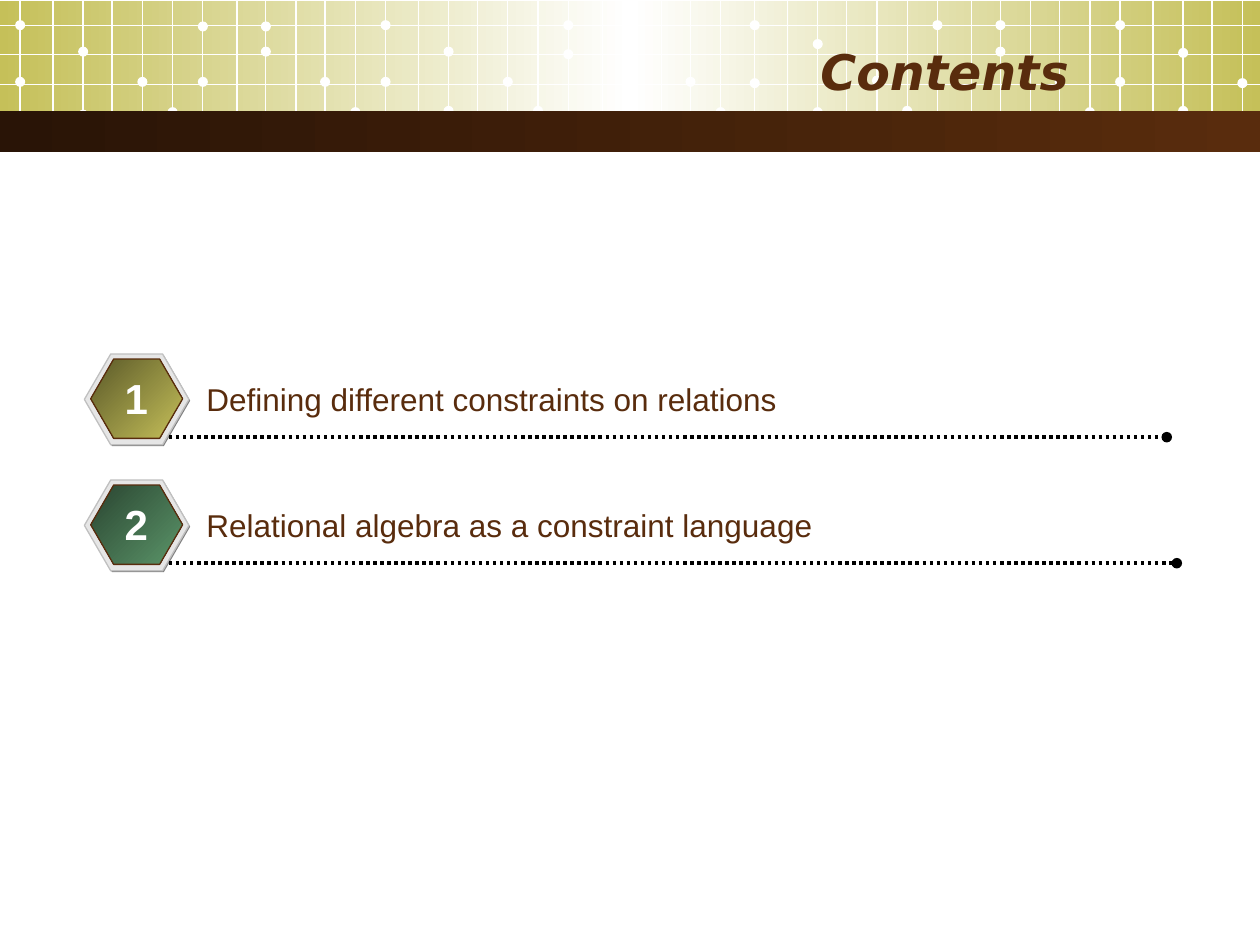
from copy import deepcopy

from pptx import Presentation
from pptx import util as u
from pptx.dml.color import RGBColor
from pptx.enum import dml, shapes, text
from pptx.oxml import ns, xmlchemy

BROWN = "592C0D"
OLIVE = "C5C059"
WHITE = "FFFFFF"

TILE_STARTS = (0.16, 3.06, 5.99, 8.89)
COLUMN_OFFSETS = (0, 0.26, 0.5, 0.73, 0.97, 1.21, 1.45, 1.72, 1.95, 2.19, 2.42, 2.66)
ROW_HEIGHTS = (0.2, 0.43, 0.67, 0.89)
DOT_COLUMNS = (0, 0, 2, 2, 4, 5, 6, 6, 8, 8, 10, 11)
DOT_HEIGHTS = (
    (0.65, 0.2, 0.41, 0.91, 0.65, 0.89, 0.65, 0.21, 0.41, 0.21, 0.65, 0.89),
    (0.65, 0.2, 0.41, 0.88, 0.65, 0.88, 0.43, 0.2, 0.42, 0.2, 0.65, 0.89),
    (0.66, 0.2, 0.35, 0.89, 0.64, 0.88, 0.51, 0.2, 0.41, 0.2, 0.65, 0.89),
    (0.65, 0.2, 0.42, 0.88, 0.66),
)
DOT_SIZE = 0.08

ITEMS = (
    ("Defining different constraints on relations", "5B5929", OLIVE, 9.26),
    ("Relational algebra as a constraint language", "2A4531", "5B9569", 9.34),
)


def color(value):
    return RGBColor.from_string(value)


class SlideBuilder:
    def __init__(self, slide, font="Arial", text_color=BROWN):
        self.slide = slide
        self.font = font
        self.text_color = text_color

    def shape(self, kind, left, top, width, height, fills, angle=0, outline=None):
        shape = self.slide.shapes.add_shape(
            kind, u.Inches(left), u.Inches(top), u.Inches(width), u.Inches(height)
        )
        shape.shadow.inherit = False
        if len(fills) == 1:
            shape.fill.solid()
            shape.fill.fore_color.rgb = color(fills[0])
        else:
            self.gradient(shape, fills, angle)
        if outline:
            shape.line.color.rgb = color(outline)
            shape.line.width = u.Pt(0.75)
        else:
            shape.line.fill.background()
        return shape

    def gradient(self, shape, fills, angle):
        shape.fill.gradient()
        shape.fill.gradient_angle = angle
        stop_list = shape.element.spPr.find(".//" + ns.qn("a:gsLst"))
        for _ in fills[2:]:
            stop_list.append(deepcopy(stop_list[-1]))
        for index, (stop, fill) in enumerate(zip(shape.fill.gradient_stops, fills)):
            stop.color.rgb = color(fill)
            stop.position = index / (len(fills) - 1)

    def hexagon(self, left, top, width, height, fills, outline=None):
        shape = self.shape(
            shapes.MSO_SHAPE.HEXAGON, left, top, width, height, fills, 315, outline
        )
        shape.adjustments[0] = 0.29

    def dot(self, x, y):
        self.shape(
            shapes.MSO_SHAPE.OVAL, x - DOT_SIZE / 2, y - DOT_SIZE / 2,
            DOT_SIZE, DOT_SIZE, [WHITE],
        )

    def line(self, start, end, line_color=WHITE, width=0.75, dotted=False):
        connector = self.slide.shapes.add_connector(
            shapes.MSO_CONNECTOR.STRAIGHT, *map(u.Inches, (*start, *end))
        )
        connector.line.color.rgb = color(line_color)
        connector.line.width = u.Pt(width)
        if dotted:
            connector.line.dash_style = dml.MSO_LINE.ROUND_DOT
            tail = xmlchemy.OxmlElement("a:tailEnd")
            tail.set("type", "oval")
            connector.line._get_or_add_ln().append(tail)
        connector.element.spPr.append(xmlchemy.OxmlElement("a:effectLst"))

    def text(self, words, left, top, width, height, size, align="LEFT",
             font=None, text_color=None, bold=False, italic=False, wrap=True):
        box = self.slide.shapes.add_textbox(
            u.Inches(left), u.Inches(top), u.Inches(width), u.Inches(height)
        )
        frame = box.text_frame
        frame.word_wrap = wrap
        frame.vertical_anchor = text.MSO_ANCHOR.MIDDLE
        paragraph = frame.paragraphs[0]
        paragraph.text = words
        paragraph.alignment = text.PP_ALIGN[align]
        paragraph.font.name = font or self.font
        paragraph.font.size = u.Pt(size)
        paragraph.font.bold = bold
        paragraph.font.italic = italic
        paragraph.font.color.rgb = color(text_color or self.text_color)

    def header(self):
        rectangle = shapes.MSO_SHAPE.RECTANGLE
        self.shape(rectangle, 0, 0.01, 10, 1.02, [OLIVE, WHITE, OLIVE])
        for start, heights in zip(TILE_STARTS, DOT_HEIGHTS):
            for offset in COLUMN_OFFSETS:
                if start + offset < 10:
                    self.line((start + offset, 0), (start + offset, 1.1))
            for column, height in zip(DOT_COLUMNS, heights):
                self.dot(start + COLUMN_OFFSETS[column], height)
        for height in ROW_HEIGHTS:
            self.line((0, height), (10, height))
        self.shape(rectangle, 0, 0.88, 10, 0.33, ["291406", BROWN])
        self.text("Contents", 0.5, 0.25, 8.08, 0.62, 28, "RIGHT",
                  font="DejaVu Sans", bold=True, italic=True)

    def item(self, number, words, dark, light, line_end):
        top = 1.81 + number
        self.hexagon(0.68, top + 0.01, 0.83, 0.72, ["808080"])
        self.hexagon(0.67, top, 0.83, 0.72, ["E6E6E6"], "C0C0C0")
        self.hexagon(0.72, top + 0.04, 0.73, 0.63, [dark, light], BROWN)
        self.line((1.34, top + 0.66), (line_end, top + 0.66), "000000", 2, True)
        self.text(words, 1.54, top + 0.16, 7.7, 0.4, 18)
        self.text(str(number), 0.89, top + 0.1, 0.38, 0.5, 24, "CENTER",
                  text_color=WHITE, bold=True, wrap=False)


def main():
    presentation = Presentation()
    presentation.slide_width = u.Inches(10)
    presentation.slide_height = u.Inches(7.5)
    slide = presentation.slides.add_slide(presentation.slide_layouts[6])
    builder = SlideBuilder(slide)
    builder.header()
    for number, item in enumerate(ITEMS, 1):
        builder.item(number, *item)
    presentation.save("out.pptx")


if __name__ == "__main__":
    main()
